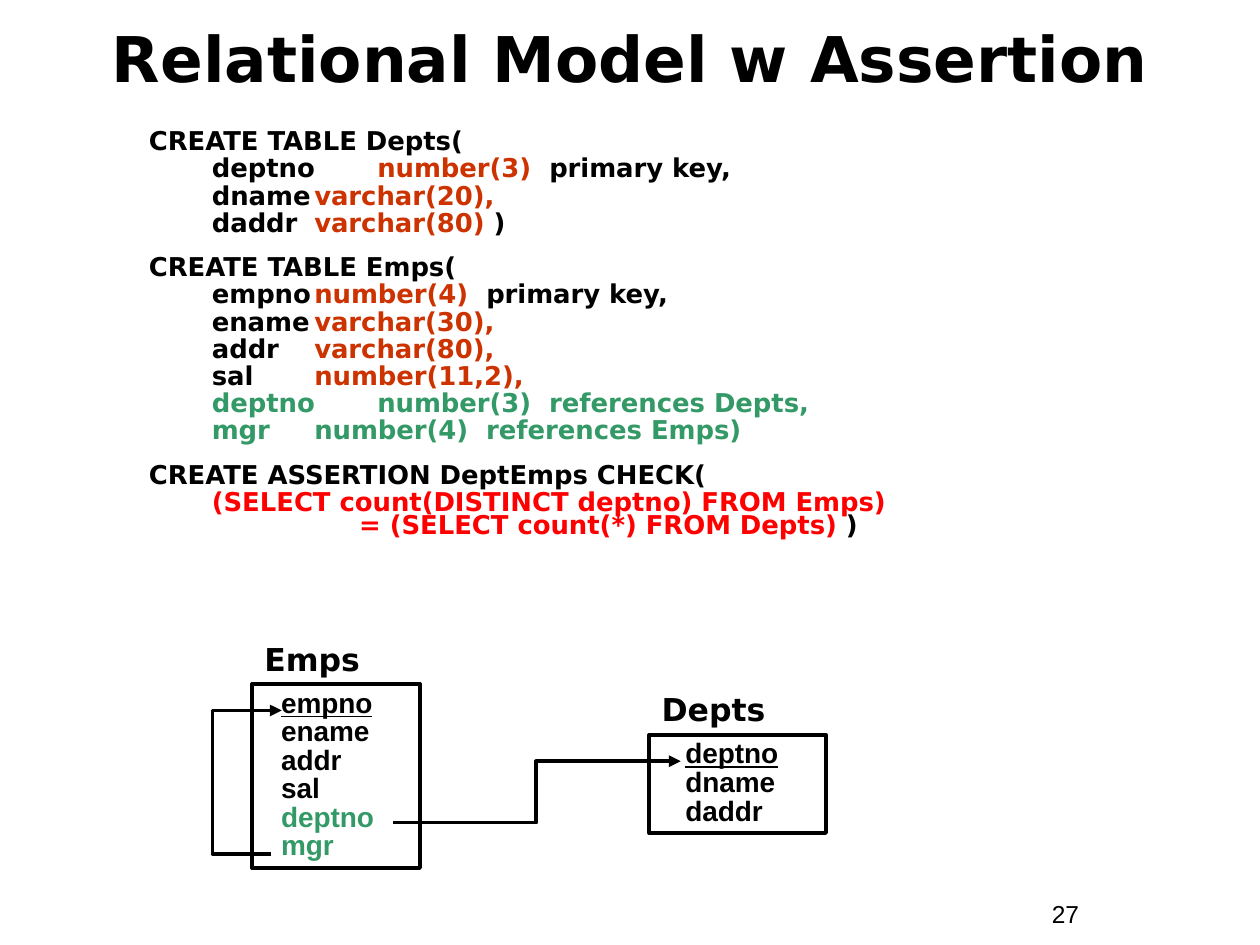
from lxml.etree import SubElement
from pptx import Presentation
from pptx.dml.color import RGBColor
from pptx.enum.shapes import MSO_CONNECTOR as CONN, MSO_SHAPE as SHAPE
from pptx.enum.text import MSO_ANCHOR as ANCHOR, PP_ALIGN as ALIGN
from pptx.oxml.ns import qn
from pptx.util import Pt

BLACK = RGBColor(0x00, 0x00, 0x00)
RUST = RGBColor(0xCC, 0x33, 0x00)
GREEN = RGBColor(0x33, 0x99, 0x66)
RED = RGBColor(0xFF, 0x00, 0x00)
SANS, ARIAL = "DejaVu Sans", "Arial"

CODE_SIZE = 14.8
TYPE_TAB = 130.5

# Column name, type, and the rest of the line
DEPTS_COLUMNS = [
    ("deptno", "number(3)", "  primary key,"),
    ("dname", "varchar(20),", ""),
    ("daddr", "varchar(80) ", ")"),
]
EMPS_COLUMNS = [
    ("empno", "number(4)", "  primary key,"),
    ("ename", "varchar(30),", ""),
    ("addr", "varchar(80),", ""),
    ("sal", "number(11,2),", ""),
]
EMPS_REFERENCES = [
    "deptno\tnumber(3)  references Depts,",
    "mgr\tnumber(4)  references Emps)",
]


def add_run(p, text, size, font=SANS, color=BLACK, bold=True, underline=None):
    r = p.add_run()
    r.text = text
    r.font.name, r.font.size, r.font.bold = font, Pt(size), bold
    r.font.underline = underline
    r.font.color.rgb = color


def add_box(s, left, top, width, height):
    sp = s.shapes.add_textbox(Pt(left), Pt(top), Pt(width), Pt(height))
    sp.text_frame.word_wrap = True
    return sp.text_frame


def add_label(s, box, text, size, **style):
    tf = add_box(s, *box)
    add_run(tf.paragraphs[0], text, size, **style)
    return tf


def next_paragraph(tf):
    """Return the empty first paragraph, or a new one after it."""
    first = tf.paragraphs[0]
    return tf.add_paragraph() if first.runs else first


def add_code_line(tf, parts, indent, hanging, before):
    p = next_paragraph(tf)
    p.line_spacing = 0.75
    p.space_before = Pt(before)
    pPr = p._p.get_or_add_pPr()
    pPr.set("marL", str(Pt(indent)))
    pPr.set("indent", str(-Pt(hanging)))
    tabs = SubElement(pPr, qn("a:tabLst"))
    SubElement(tabs, qn("a:tab"), pos=str(Pt(TYPE_TAB)), algn="l")
    for text, color in parts:
        add_run(p, text, CODE_SIZE, color=color)
    return p


def add_statement(tf, text, before=12):
    add_code_line(tf, [(text, BLACK)], 27, 27, before)


def add_clause(tf, *parts):
    return add_code_line(tf, parts, 58.5, 22.5, 2.2)


def add_columns(tf, columns):
    for name, kind, rest in columns:
        parts = [(name + "\t", BLACK), (kind, RUST)]
        add_clause(tf, *parts, *([(rest, BLACK)] if rest else []))


def add_sql(s):
    tf = add_box(s, 78, 72, 612, 246)
    add_statement(tf, "CREATE TABLE Depts(", before=0)
    add_columns(tf, DEPTS_COLUMNS)
    add_statement(tf, "CREATE TABLE Emps(")
    add_columns(tf, EMPS_COLUMNS)
    for line in EMPS_REFERENCES:
        add_clause(tf, (line, GREEN))
    add_statement(tf, "CREATE ASSERTION DeptEmps CHECK(")
    p = add_clause(tf, ("(SELECT count(DISTINCT deptno) FROM Emps)", RED))
    p.add_line_break()
    add_run(p, "            = (SELECT count(*) FROM Depts) ", CODE_SIZE, color=RED)
    add_run(p, ")", CODE_SIZE)


def add_relation(s, name, box, indent, fields, references=()):
    """Draw a named box of fields: the key underlined, references in green."""
    left, top, width, height = box
    add_label(s, (left, top - 29, 94, 29), name, 18)
    sp = s.shapes.add_shape(SHAPE.RECTANGLE, Pt(left), Pt(top), Pt(width), Pt(height))
    sp.shadow.inherit = False
    sp.fill.background()
    sp.line.color.rgb = BLACK
    sp.line.width = Pt(2.25)
    tf = sp.text_frame
    tf.word_wrap = True
    tf.vertical_anchor = ANCHOR.TOP
    for field in (*fields, *references):
        p = next_paragraph(tf)
        p.alignment = ALIGN.LEFT
        p.line_spacing = 0.85
        p._p.get_or_add_pPr().set("marL", str(Pt(indent)))
        add_run(p, field, 16, font=ARIAL,
                color=GREEN if field in references else BLACK,
                underline=field == fields[0])


def add_reference_arrow(s, start, end, bend_x):
    """Draw an elbow arrow whose upright part stands at bend_x."""
    c = s.shapes.add_connector(CONN.ELBOW, *map(Pt, (*start, *end)))
    c.line.color.rgb = BLACK
    c.line.width = Pt(2.25)
    spPr = c._element.spPr
    SubElement(spPr.find(qn("a:ln")), qn("a:tailEnd"), type="triangle")
    SubElement(spPr, qn("a:effectLst"))
    bend = round((bend_x - start[0]) / (end[0] - start[0]) * 100000)
    guides = spPr.find(qn("a:prstGeom")).get_or_add_avLst()
    SubElement(guides, qn("a:gd"), name="adj1", fmla=f"val {bend}")


def main():
    prs = Presentation()
    prs.slide_width, prs.slide_height = Pt(720), Pt(540)
    s = prs.slides.add_slide(prs.slide_layouts[6])

    add_label(s, (594, 510, 66, 24.5), "27", 14, font=ARIAL, bold=False)
    title = add_label(s, (30, 11.5, 660, 42), "Relational Model w Assertion", 36)
    title.vertical_anchor = ANCHOR.MIDDLE
    title.paragraphs[0].alignment = ALIGN.CENTER

    add_sql(s)
    add_relation(s, "Emps", (144, 391, 96, 105), 9.5,
                 ("empno", "ename", "addr", "sal"), ("deptno", "mgr"))
    add_relation(s, "Depts", (371, 420, 101, 56), 13.5,
                 ("deptno", "dname", "daddr"))
    add_reference_arrow(s, (224.5, 470), (389, 435), 306.5)
    add_reference_arrow(s, (155, 488), (161, 406), 121.5)

    prs.save("out.pptx")


if __name__ == "__main__":
    main()
